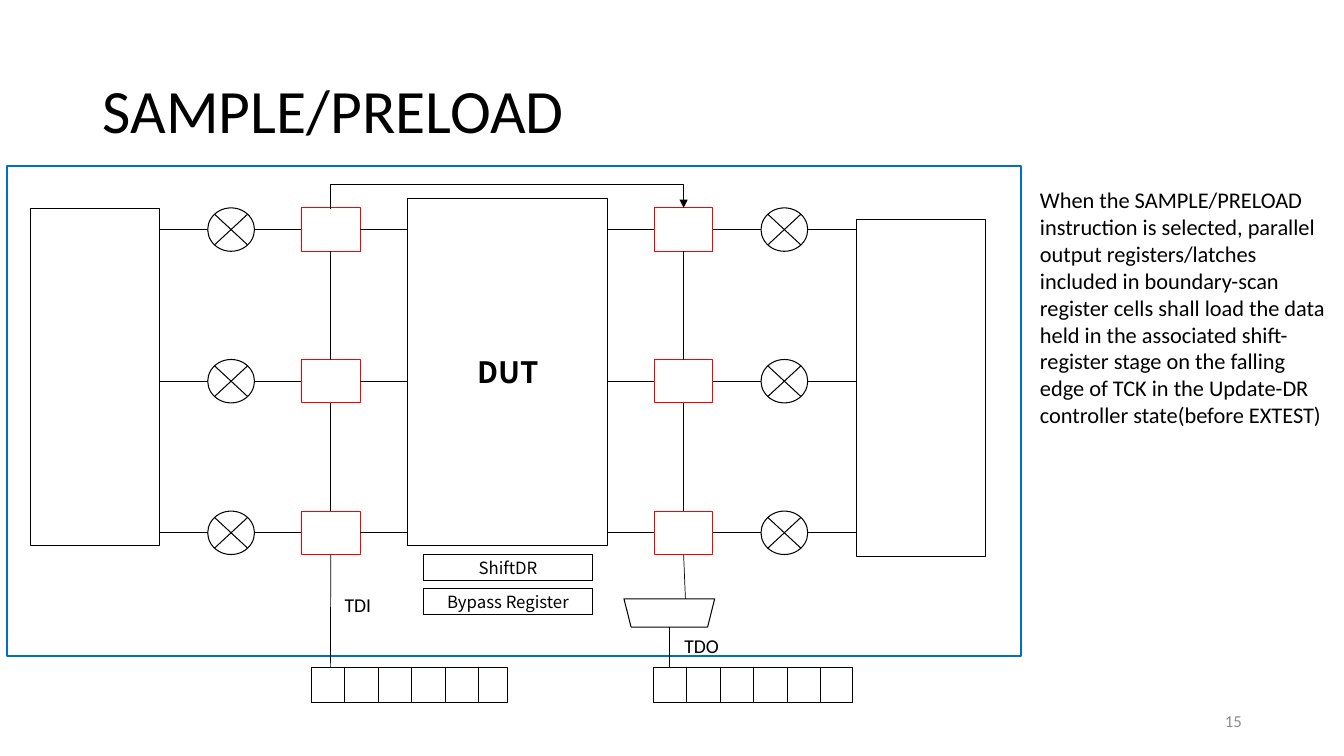
"""Build the SAMPLE/PRELOAD boundary-scan slide."""
from lxml import etree
from pptx import Presentation
from pptx.dml.color import RGBColor
from pptx.enum.shapes import MSO_CONNECTOR, MSO_SHAPE
from pptx.enum.text import MSO_ANCHOR, PP_ALIGN
from pptx.oxml.ns import qn
from pptx.util import Pt

BLACK = RGBColor(0, 0, 0)
RED = RGBColor(0xFF, 0, 0)
BLUE = RGBColor(0, 0x70, 0xC0)
GRAY = RGBColor(0x8C, 0x8C, 0x8C)
LATIN, SANS = "Calibri", "Noto Sans CJK SC"
RECTANGLE, TRAPEZOID = MSO_SHAPE.RECTANGLE, MSO_SHAPE.TRAPEZOID
LAMP = MSO_SHAPE.FLOWCHART_SUMMING_JUNCTION
STRAIGHT, ELBOW = MSO_CONNECTOR.STRAIGHT, MSO_CONNECTOR.ELBOW
LEFT, CENTER, RIGHT = PP_ALIGN.LEFT, PP_ALIGN.CENTER, PP_ALIGN.RIGHT
TOP, MIDDLE = MSO_ANCHOR.TOP, MSO_ANCHOR.MIDDLE
TOP_SITE, LEFT_SITE, BOTTOM_SITE, RIGHT_SITE = range(4)

TITLE = "SAMPLE/PRELOAD"
EXPLANATION = (
    "When the SAMPLE/PRELOAD instruction is selected, parallel output "
    "registers/latches included in boundary-scan register cells shall load "
    "the data held in the associated shift-register stage on the falling "
    "edge of TCK in the Update-DR controller state(before EXTEST)"
)
LABELS = [
    ("TDI", (239, 419.8, 41.8, 24.2), {"size": 14}),
    ("TDO", (481.7, 449.3, 41.8, 24.2), {"size": 14}),
    (EXPLANATION, (735.8, 129.6, 218.9, 181.4), {"size": 16}),
    ("15", (678.2, 500.4, 216, 28.8),
     {"size": 12, "color": GRAY, "align": RIGHT, "anchor": MIDDLE}),
]
INNER_REGISTERS = ["ShiftDR", "Bypass Register"]
SHIFT_REGISTERS = [(222.5, 20.2), (466.6, 23)]
STAGES, STAGE_WIDTH, STAGE_TOP, STAGE_HEIGHT = 6, 23.9, 476.7, 25.2

FRAME = (5, 118.8, 724.3, 349.9)
DUT = (291, 141.8, 143.3, 247.7)
LEFT_CHIP = (21.6, 149, 92.2, 240.5)
RIGHT_CHIP = (612, 157, 92.2, 240.5)
MUX = (445.7, 427.7, 64.8, 20.2)
ROW_CENTERS = [164 + 108.3 * row for row in range(3)]
CELL_WIDTH, CELL_HEIGHT = 42, 31
LAMP_WIDTH, LAMP_HEIGHT = 33.4, 31
LEFT_CELL, RIGHT_CELL = 215.3, 467.3
LEFT_LAMP, RIGHT_LAMP = 148.4, 543.6

deck = Presentation()
deck.slide_width, deck.slide_height = Pt(960), Pt(540)
page = deck.slides.add_slide(deck.slide_layouts[5])


def place(shape, area):
    """Move and size a shape."""
    shape.left, shape.top, shape.width, shape.height = map(Pt, area)


def write(shape, text, size=12, font=LATIN, color=BLACK, bold=False,
          align=LEFT, anchor=TOP, wrap=True, spacing=1.0, margins=None):
    """Put formatted text in a shape."""
    frame = shape.text_frame
    frame.word_wrap, frame.vertical_anchor = wrap, anchor
    if margins:
        frame.margin_left = frame.margin_right = Pt(margins[0])
        frame.margin_top = frame.margin_bottom = Pt(margins[1])
    para = frame.paragraphs[0]
    para.alignment, para.line_spacing = align, spacing
    span = para.add_run()
    span.text = text
    span.font.size, span.font.name, span.font.bold = Pt(size), font, bold
    span.font.color.rgb = color


def outline(area, kind=RECTANGLE, color=BLACK, weight=0.75):
    """Add an unfilled shape."""
    shape = page.shapes.add_shape(kind, *map(Pt, area))
    shape.shadow.inherit = False
    shape.fill.background()
    shape.line.color.rgb, shape.line.width = color, Pt(weight)
    return shape


def wire(start, end, begin=None, finish=None, kind=STRAIGHT):
    """Add a thin line, joined to (shape, site) pairs where given."""
    line = page.shapes.add_connector(kind, *map(Pt, start + end))
    line.line.color.rgb, line.line.width = BLACK, Pt(0.5)
    etree.SubElement(line._element.spPr, qn("a:effectLst"))
    if begin:
        line.begin_connect(*begin)
    if finish:
        line.end_connect(*finish)
    return line


def caption(area, text, size, bold=False):
    """Add an outlined box with centred text."""
    write(outline(area), text, size=size, font=SANS, bold=bold, align=CENTER,
          anchor=MIDDLE, wrap=False, margins=(2, 1.5))


def sample_path(start_x, end_x, top, rise=18):
    """Add the arrow that rises over the DUT from cell to cell."""
    center, half = (start_x + end_x) / 2, (end_x - start_x) / 2
    line = wire((center + 0.5, top + 0.5 + half),
                (center - 0.5, top + 0.5 - half), kind=ELBOW)
    properties = line._element.spPr
    properties.find(qn("a:xfrm")).set("rot", "5400000")
    adjustments = properties.find(qn("a:prstGeom")).get_or_add_avLst()
    etree.SubElement(adjustments, qn("a:gd"), name="adj1",
                     fmla=f"val {rise * 100000}")
    etree.SubElement(line.line._get_or_add_ln(), qn("a:tailEnd"),
                     type="triangle")


title = page.shapes.title
place(title, (66.2, 28.8, 828, 104.4))
write(title, TITLE, size=44, anchor=MIDDLE, spacing=0.9)

for area in (LEFT_CHIP, RIGHT_CHIP):
    outline(area)
outline(FRAME, color=BLUE, weight=1.5)
caption(DUT, "DUT", 21, bold=True)
for index, name in enumerate(INNER_REGISTERS):
    caption((302.4, 396 + 24.3 * index, 121, 19), name, 12)

sides = [
    (LEFT_CELL, LEFT_LAMP, LEFT_CHIP[0] + LEFT_CHIP[2], LEFT_LAMP,
     LEFT_LAMP + LAMP_WIDTH, DUT[0]),
    (RIGHT_CELL, RIGHT_LAMP, RIGHT_LAMP + LAMP_WIDTH, RIGHT_CHIP[0],
     DUT[0] + DUT[2], RIGHT_LAMP),
]
last_cells = []
for cell_x, lamp_x, chip_start, chip_end, before, after in sides:
    previous = None
    for y in ROW_CENTERS:
        cell = outline((cell_x, y - CELL_HEIGHT / 2, CELL_WIDTH, CELL_HEIGHT),
                       color=RED)
        outline((lamp_x, y - LAMP_HEIGHT / 2, LAMP_WIDTH, LAMP_HEIGHT), LAMP)
        wire((chip_start, y), (chip_end, y))
        wire((before, y), (cell_x, y), finish=(cell, LEFT_SITE))
        wire((cell_x + CELL_WIDTH, y), (after, y), begin=(cell, RIGHT_SITE))
        if previous:
            wire((cell_x, y), (cell_x, y), begin=(previous, BOTTOM_SITE),
                 finish=(cell, TOP_SITE))
        previous = cell
    last_cells.append(previous)

cell_middle = CELL_WIDTH / 2
cell_bottom = ROW_CENTERS[-1] + CELL_HEIGHT / 2
sample_path(LEFT_CELL + cell_middle, RIGHT_CELL + cell_middle,
            ROW_CENTERS[0] - CELL_HEIGHT / 2)

outline(MUX, TRAPEZOID).rotation = 180
mux_middle = MUX[0] + MUX[2] / 2
wire((mux_middle, MUX[1] + MUX[3]), (mux_middle, STAGE_TOP))
for cell, cell_x, end in zip(last_cells, (LEFT_CELL, RIGHT_CELL),
                             ((236, STAGE_TOP), (489.6, MUX[1]))):
    wire((cell_x + cell_middle, cell_bottom), end, begin=(cell, BOTTOM_SITE))

for left, last_width in SHIFT_REGISTERS:
    for stage in range(STAGES):
        width = last_width if stage == STAGES - 1 else STAGE_WIDTH
        outline((left + stage * STAGE_WIDTH, STAGE_TOP, width, STAGE_HEIGHT))

for text, area, style in LABELS:
    write(page.shapes.add_textbox(*map(Pt, area)), text, **style)

deck.save("out.pptx")
